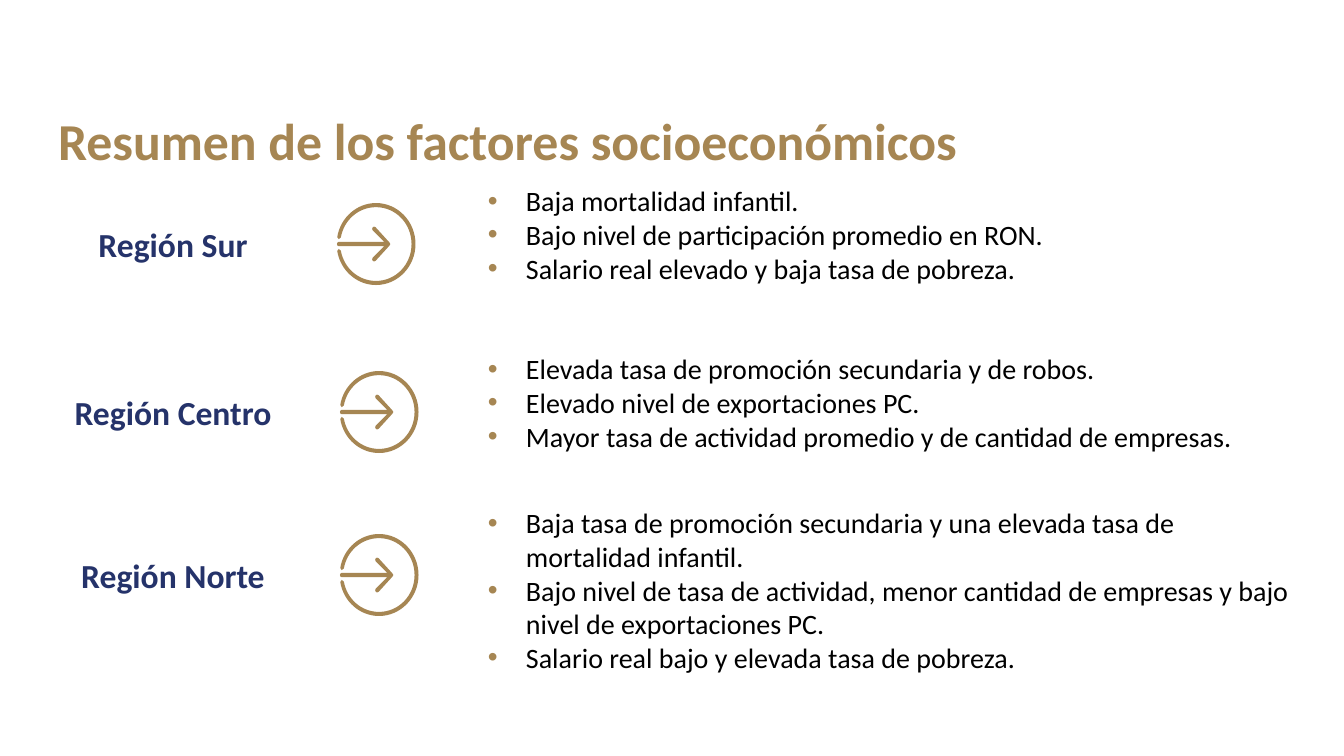
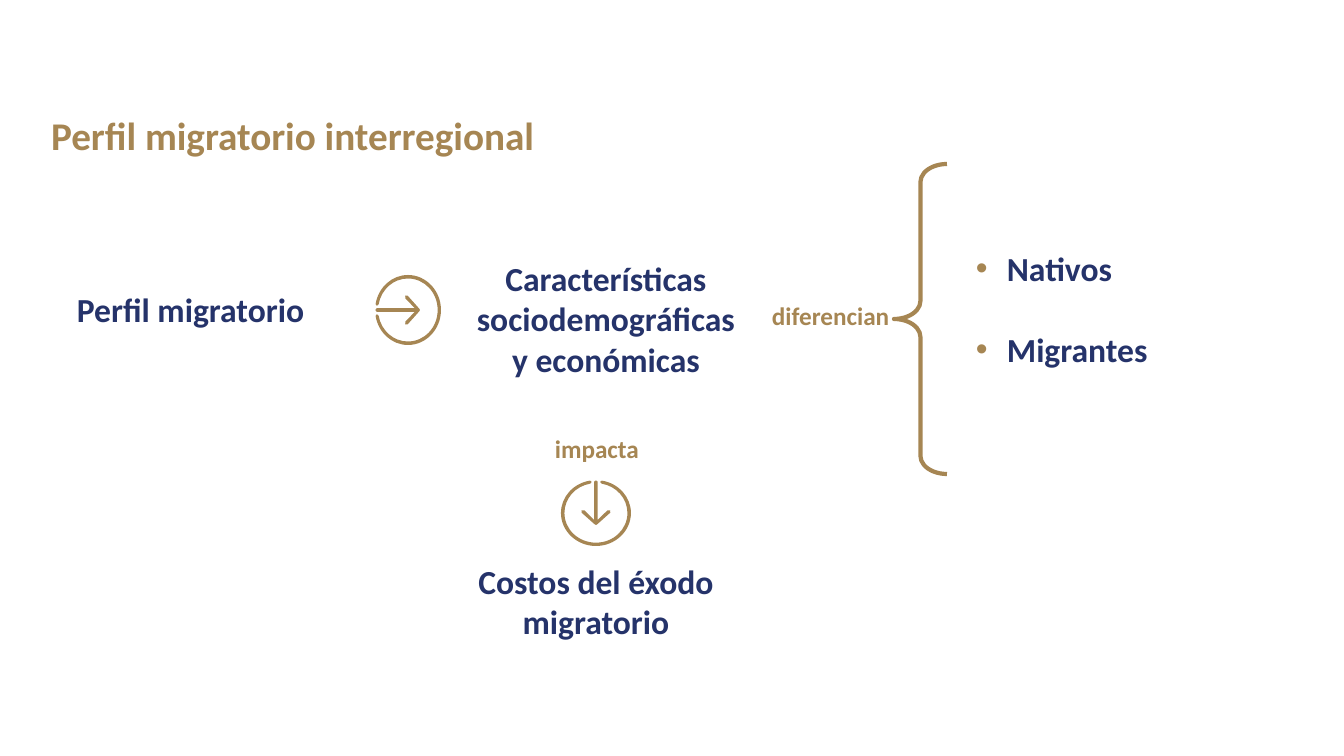
from lxml.etree import SubElement
from pptx import Presentation
from pptx.dml.color import RGBColor
from pptx.enum.shapes import MSO_SHAPE
from pptx.enum.text import MSO_ANCHOR, MSO_AUTO_SIZE, PP_ALIGN
from pptx.oxml.ns import qn
from pptx.util import Emu, Pt

SLIDE_W, SLIDE_H = 1344, 756
EMU_PER_PX = 12192000 / SLIDE_W

GOLD = RGBColor(0xA6, 0x86, 0x53)
NAVY = RGBColor(0x25, 0x33, 0x6A)
BLACK = RGBColor(0, 0, 0)
FONT = "Calibri"

SUMMARY_TITLE = "Resumen de los factores socioeconómicos"
# region, icon centre, top and height of the factor list, factors
REGIONS = [
    ("Región Sur", (376, 244), 179, 142, [
        "Baja mortalidad infantil.",
        "Bajo nivel de participación promedio en RON.",
        "Salario real elevado y baja tasa de pobreza.",
    ]),
    ("Región Centro", (379, 412), 347, 112, [
        "Elevada tasa de promoción secundaria y de robos.",
        "Elevado nivel de exportaciones PC.",
        "Mayor tasa de actividad promedio y de cantidad de empresas.",
    ]),
    ("Región Norte", (379, 575), 501, 211, [
        "Baja tasa de promoción secundaria y una elevada tasa de mortalidad infantil.",
        "Bajo nivel de tasa de actividad, menor cantidad de empresas y bajo "
        "nivel de exportaciones PC.",
        "Salario real bajo y elevada tasa de pobreza.",
    ]),
]
REGION_LEFT, REGION_W, REGION_H = 48, 250, 50
FACTORS_LEFT, FACTORS_W = 478, 835

PROFILE_TITLE = "Perfil migratorio interregional"
# text, box, alignment
CONCEPTS = [
    ("Perfil migratorio", (67, 284, 250, 50), PP_ALIGN.LEFT),
    ("Características sociodemográficas y económicas", (465, 253, 282, 132), PP_ALIGN.CENTER),
    ("Costos del éxodo migratorio", (455, 556, 282, 92), PP_ALIGN.CENTER),
]
# text, box, wraps
RELATIONS = [
    ("impacta", (545, 428, 120, 40), True),
    ("diferencian", (762, 295, 138, 40), False),
]
POPULATIONS = ["Nativos", "Migrantes"]
POPULATIONS_BOX = (966, 243, 195, 132)
BRACE_BOX = (894, 164, 53, 310)

LARGE_ICON, SMALL_ICON = (82, 79), (70, 66)
POINTING_RIGHT = 270
# Downward arrow on a 200 x 200 grid: a start point, then segments of
# one point (straight) or three points (curve)
OPEN_RING = [
    (117, 2),
    [(165, 10), (200, 52), (200, 100)],
    [(200, 155), (155, 200), (100, 200)],
    [(45, 200), (0, 155), (0, 100)],
    [(0, 52), (35, 10), (83, 2)],
    [(89, 1), (90, 10), (84, 11)],
    [(41, 19), (10, 56), (10, 100)],
    [(10, 150), (50, 190), (100, 190)],
    [(150, 190), (190, 150), (190, 100)],
    [(190, 56), (159, 19), (116, 11)],
    [(110, 10), (111, 1), (117, 2)],
]
ARROW = [
    (95, 5),
    [(95, 0), (105, 0), (105, 5)],
    [(105, 121)],
    [(133, 92)],
    [(138, 87), (146, 94), (141, 99)],
    [(104, 134)],
    [(101, 137), (99, 137), (96, 134)],
    [(59, 99)],
    [(54, 94), (62, 87), (67, 92)],
    [(95, 121)],
]


def px(length):
    return Emu(round(length * EMU_PER_PX))


def add_bullet(paragraph, indent):
    props = paragraph._p.get_or_add_pPr()
    props.set("marL", str(px(indent)))
    props.set("indent", str(-px(indent)))
    color = SubElement(props, qn("a:buClr"))
    SubElement(color, qn("a:srgbClr")).set("val", str(GOLD))
    SubElement(props, qn("a:buFont")).set("typeface", "Arial")
    SubElement(props, qn("a:buChar")).set("char", "•")


def write(frame, texts, size, color, bold=True, align=PP_ALIGN.LEFT, wrap=True,
          bullet_indent=0, gap=0, line_spacing=None):
    frame.word_wrap = wrap
    frame.auto_size = MSO_AUTO_SIZE.NONE
    frame.vertical_anchor = MSO_ANCHOR.TOP
    for index, text in enumerate(texts):
        paragraph = frame.add_paragraph() if index else frame.paragraphs[0]
        if bullet_indent:
            add_bullet(paragraph, bullet_indent)
        paragraph.alignment = align
        if line_spacing:
            paragraph.line_spacing = line_spacing
        if index and gap:
            paragraph.space_before = Pt(gap)
        run = paragraph.add_run()
        run.text = text
        run.font.name = FONT
        run.font.size = Pt(size)
        run.font.bold = bold
        run.font.color.rgb = color


def add_text(slide, box, texts, **style):
    write(slide.shapes.add_textbox(*map(px, box)).text_frame, texts, **style)


def add_titled_slide(prs, title, box, size, line_spacing):
    slide = prs.slides.add_slide(prs.slide_layouts[5])
    heading = slide.shapes.title
    heading.left, heading.top, heading.width, heading.height = map(px, box)
    write(heading.text_frame, [title], size=size, color=GOLD, line_spacing=line_spacing)
    return slide


def bend_segments(shape, segments):
    """Turn each run of three straight steps that stands for a curve into a curve."""
    steps = iter(list(shape.element.iter(qn("a:lnTo"))))
    for segment in segments:
        parts = [next(steps) for _ in segment]
        if len(parts) == 3:
            curve = parts[0].makeelement(qn("a:cubicBezTo"), {})
            parts[0].addprevious(curve)
            for part in parts:
                curve.append(part[0])
                part.getparent().remove(part)


def add_arrow_icon(slide, center, size, rotation=0):
    contours = (OPEN_RING, ARROW)
    builder = slide.shapes.build_freeform(*OPEN_RING[0], scale=1.0)
    for contour in contours:
        if contour is not OPEN_RING:
            builder.move_to(*contour[0])
        builder.add_line_segments([point for segment in contour[1:] for point in segment])
    icon = builder.convert_to_shape()
    bend_segments(icon, [segment for contour in contours for segment in contour[1:]])
    icon.left, icon.top = (px(c - length / 2) for c, length in zip(center, size))
    icon.width, icon.height = map(px, size)
    icon.rotation = rotation
    icon.shadow.inherit = False
    icon.fill.solid()
    icon.fill.fore_color.rgb = GOLD
    icon.line.fill.background()


def build_summary(prs):
    slide = add_titled_slide(prs, SUMMARY_TITLE, (48, 111, 993, 100), 37, 0.9)
    for region, center, top, height, factors in REGIONS:
        label_box = (REGION_LEFT, center[1] - REGION_H // 2, REGION_W, REGION_H)
        add_text(slide, label_box, [region], size=24, color=NAVY, align=PP_ALIGN.CENTER)
        add_text(slide, (FACTORS_LEFT, top, FACTORS_W, height), factors,
                 size=20, color=BLACK, bold=False, bullet_indent=38)
        add_arrow_icon(slide, center, LARGE_ICON, POINTING_RIGHT)


def build_profile(prs):
    slide = add_titled_slide(prs, PROFILE_TITLE, (41, 119, 990, 45), 28, 0.7)
    for concept, box, align in CONCEPTS:
        add_text(slide, box, [concept], size=24, color=NAVY, align=align)
    for relation, box, wrap in RELATIONS:
        add_text(slide, box, [relation], size=18, color=GOLD, wrap=wrap)
    add_text(slide, POPULATIONS_BOX, POPULATIONS, size=24, color=NAVY, wrap=False,
             bullet_indent=31, gap=29)
    add_arrow_icon(slide, (408, 310), SMALL_ICON, POINTING_RIGHT)
    add_arrow_icon(slide, (596, 513), SMALL_ICON)
    brace = slide.shapes.add_shape(MSO_SHAPE.LEFT_BRACE, *map(px, BRACE_BOX))
    brace.adjustments[0] = 0.34
    brace.shadow.inherit = False
    brace.fill.background()
    brace.line.color.rgb = GOLD
    brace.line.width = Pt(3)


def main():
    prs = Presentation()
    prs.slide_width, prs.slide_height = px(SLIDE_W), px(SLIDE_H)
    build_summary(prs)
    build_profile(prs)
    prs.save("out.pptx")


if __name__ == "__main__":
    main()
